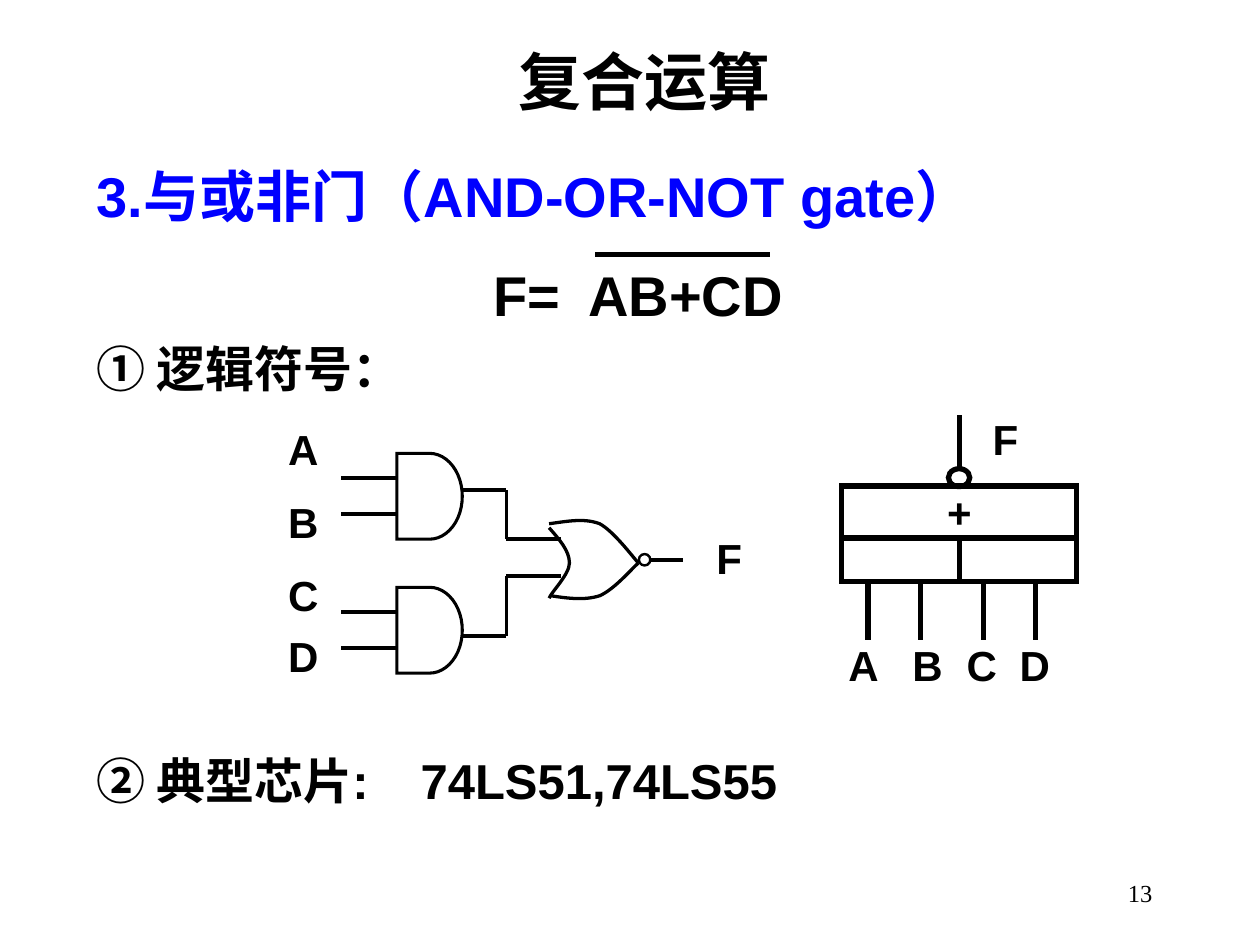
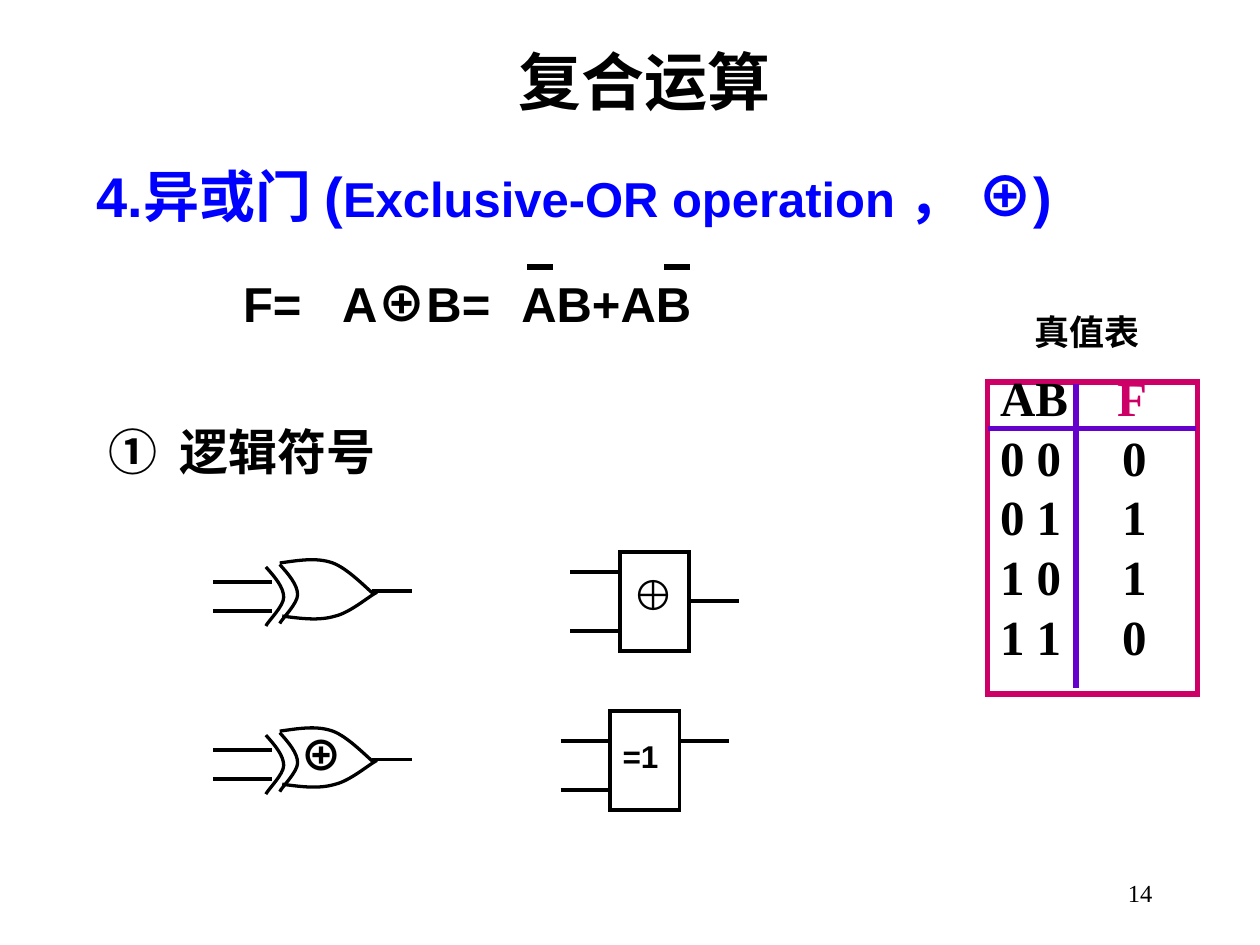
from typing import NamedTuple, Optional

from lxml.etree import SubElement
from pptx import Presentation
from pptx.dml.color import RGBColor
from pptx.enum.shapes import MSO_CONNECTOR, MSO_SHAPE
from pptx.enum.text import MSO_ANCHOR, PP_ALIGN
from pptx.oxml.ns import qn
from pptx.util import Cm, Pt

BLACK = RGBColor(0x00, 0x00, 0x00)
WHITE = RGBColor(0xFF, 0xFF, 0xFF)
BLUE = RGBColor(0x00, 0x00, 0xFF)
MAGENTA = RGBColor(0xCC, 0x00, 0x66)
PURPLE = RGBColor(0x66, 0x00, 0xCC)
SANS = "Arial"
SERIF = "Times New Roman"
CHINESE = "Noto Sans CJK SC"
THIN, WIRE, THICK = 1.88, 2.25, 3


class Area(NamedTuple):
    left: float
    top: float
    width: float
    height: float


class Point(NamedTuple):
    x: float
    y: float


class AndGate(NamedTuple):
    top: float
    output: float
    joint: float


class BlockGate(NamedTuple):
    left: float
    top: float
    inputs: tuple
    output: float


class Label(NamedTuple):
    text: str
    left: float
    top: float


OR_BODY = (
    ((0, -0.79), (0.36, -0.84), (0.71, -0.91), (1.02, -0.79),
     (1.3, -0.64), (1.68, -0.13), (1.8, 0)),
    ((0.03, 0.66), (0.36, 0.71), (0.71, 0.76), (1.02, 0.66),
     (1.32, 0.53), (1.68, 0.1), (1.8, 0)),
    ((0, -0.71), (0.2, -0.48), (0.41, -0.25), (0.41, 0),
     (0.41, 0.23), (0.05, 0.58), (0, 0.71)),
)
XOR_BACK = ((0, -0.61), (0.18, -0.41), (0.36, -0.2), (0.36, 0),
            (0.36, 0.18), (0.05, 0.48), (0, 0.58))
XOR_BODY = (
    ((0, -0.64), (0.36, -0.69), (0.74, -0.76), (1.07, -0.64),
     (1.37, -0.53), (1.75, -0.13), (1.91, 0)),
    ((0.05, 0.43), (0.43, 0.48), (0.79, 0.53), (1.12, 0.43),
     (1.42, 0.36), (1.8, 0.03), (1.96, -0.05)),
    XOR_BACK,
    tuple((x - 0.28, y + 0.05) for x, y in XOR_BACK),
)


def add_span(para, text: str, *, size: float = 28, font: str = SANS,
             color: RGBColor = BLACK, bold: bool = True) -> None:
    span = para.add_run()
    span.text = text
    span.font.size = Pt(size)
    span.font.bold = bold
    span.font.color.rgb = color
    span.font.name = font
    SubElement(span.font._element, qn("a:ea"), typeface=CHINESE)


def add_tabs(para, *positions: float, align: str = "l") -> None:
    stops = SubElement(para._p.get_or_add_pPr(), qn("a:tabLst"))
    for position in positions:
        SubElement(stops, qn("a:tab"), pos=str(Cm(position)), algn=align)


def add_text(page, text: str, area: Area, *, align=PP_ALIGN.LEFT,
             anchor=MSO_ANCHOR.TOP, wrap: bool = True, **style):
    box = page.shapes.add_textbox(*map(Cm, area))
    box.text_frame.word_wrap = wrap
    box.text_frame.vertical_anchor = anchor
    para = box.text_frame.paragraphs[0]
    para.alignment = align
    add_span(para, text, **style)
    return para


def add_line(page, start: Point, end: Point, *, width: float = WIRE,
             color: RGBColor = BLACK) -> None:
    line = page.shapes.add_connector(
        MSO_CONNECTOR.STRAIGHT, *map(Cm, (*start, *end)))
    line.line.width = Pt(width)
    line.line.color.rgb = color
    if width == THICK and color == BLACK:
        line.line._get_or_add_ln().set("cap", "sq")
    SubElement(line._element.spPr, qn("a:effectLst"))


def add_row(page, left: float, right: float, y: float, **style) -> None:
    add_line(page, Point(left, y), Point(right, y), **style)


def add_column(page, x: float, top: float, bottom: float, **style) -> None:
    add_line(page, Point(x, top), Point(x, bottom), **style)


def add_outline(page, kind, area: Area, *, width: float = WIRE,
                color: RGBColor = BLACK, fill: Optional[RGBColor] = None):
    shape = page.shapes.add_shape(kind, *map(Cm, area))
    shape.shadow.inherit = False
    if fill is None:
        shape.fill.background()
    else:
        shape.fill.solid()
        shape.fill.fore_color.rgb = fill
    shape.line.width = Pt(width)
    shape.line.color.rgb = color
    SubElement(shape.line._get_or_add_ln(), qn("a:miter"), lim="800000")
    return shape


def bend_segments(shape) -> None:
    outline = shape._element.find(".//" + qn("a:path"))
    segments = outline.findall(qn("a:lnTo"))
    for first in range(0, len(segments), 3):
        curve = SubElement(outline, qn("a:cubicBezTo"))
        for segment in segments[first:first + 3]:
            curve.append(segment[0])
            outline.remove(segment)


def add_curves(page, curves: tuple, origin: Point) -> None:
    for controls in curves:
        start, *others = [(Cm(origin.x + x), Cm(origin.y + y))
                          for x, y in controls]
        builder = page.shapes.build_freeform(*start)
        builder.add_line_segments(others, close=False)
        shape = builder.convert_to_shape()
        bend_segments(shape)
        shape.shadow.inherit = False
        shape.fill.background()
        shape.line.width = Pt(THIN)
        shape.line.color.rgb = BLACK


def add_page(deck, number: int):
    page = deck.slides.add_slide(deck.slide_layouts[6])
    add_text(page, "复合运算", Area(2.69, 0.73, 20.6, 1.8),
             size=36, align=PP_ALIGN.CENTER)
    add_text(page, str(number), Area(18.2, 17.37, 5.28, 1.27), size=14,
             font=SERIF, bold=False, align=PP_ALIGN.RIGHT,
             anchor=MSO_ANCHOR.MIDDLE)
    return page


def add_heading(page, text: str):
    return add_text(page, text, Area(1.7, 3.14, 22.6, 1.63),
                    size=32, color=BLUE)


def add_and_gate(page, gate: AndGate) -> None:
    left, right, bend, end = 8.0, 9.32, 10.21, 11.3
    add_outline(page, MSO_SHAPE.FLOWCHART_DELAY,
                Area(left, gate.top, right - left, 1.73), width=1.75)
    for offset in (0.5, 1.23):
        add_row(page, 6.88, left, gate.top + offset)
    add_row(page, right, bend, gate.output)
    add_column(page, bend, gate.output, gate.joint)
    add_row(page, bend, end, gate.joint)


def add_gate_circuit(page) -> None:
    for gate in (AndGate(9.14, 9.88, 10.87), AndGate(11.84, 12.83, 11.61)):
        add_and_gate(page, gate)
    add_curves(page, OR_BODY, Point(11.07, 11.35))
    add_outline(page, MSO_SHAPE.OVAL, Area(12.88, 11.17, 0.23, 0.23),
                width=1.38)
    add_row(page, 13.11, 13.77, 11.28)
    labels = (Label("A", 5.56, 8.41), Label("B", 5.56, 9.88),
              Label("C", 5.56, 11.35), Label("D", 5.56, 12.59),
              Label("F", 14.19, 10.62))
    for label in labels:
        add_text(page, label.text, Area(label.left, label.top, 1.8, 1.27),
                 size=24)


def add_block_symbol(page) -> None:
    left, middle, half = 16.97, 19.34, 2.37
    block = add_outline(page, MSO_SHAPE.RECTANGLE,
                        Area(left, 9.8, 2 * half, 1.04), width=THICK)
    block.text_frame.vertical_anchor = MSO_ANCHOR.MIDDLE
    block.text_frame.word_wrap = False
    para = block.text_frame.paragraphs[0]
    para.alignment = PP_ALIGN.CENTER
    add_span(para, "+", size=24)
    for column in range(2):
        add_outline(page, MSO_SHAPE.RECTANGLE,
                    Area(left + column * half, 10.85, half, 0.87),
                    width=THICK)
    add_outline(page, MSO_SHAPE.OVAL, Area(19.12, 9.45, 0.43, 0.36),
                width=THICK)
    add_column(page, middle, 8.41, 9.45, width=THICK)
    add_text(page, "F", Area(19.76, 8.22, 2.59, 1.27), size=24)
    for leg in (17.5, 18.55, 19.82, 20.88):
        add_column(page, leg, 11.81, 12.85, width=THICK)
    para = add_text(page, "\tA\tB\tC\tD", Area(16.43, 12.77, 5.72, 1.27),
                    size=24)
    add_tabs(para, 0.73, 2.02, 3.11, 4.18, align="ctr")


def add_and_or_not_page(deck) -> None:
    page = add_page(deck, 13)
    add_heading(page, "3.与或非门（AND-OR-NOT gate）")
    add_text(page, "F=", Area(9.7, 5.13, 2.57, 1.6), size=32)
    add_text(page, "AB+CD", Area(11.61, 5.13, 4.47, 1.6), size=32)
    add_row(page, 12.04, 15.47, 5.13, width=THICK)
    para = add_text(page, "① ", Area(1.7, 6.7, 7.04, 1.45),
                    font=CHINESE, wrap=False)
    add_span(para, "逻辑符号：")
    add_gate_circuit(page)
    add_block_symbol(page)
    para = add_text(page, "② 典型芯片:\t74LS51,74LS55",
                    Area(1.7, 15.01, 16.61, 1.45))
    add_tabs(para, 6.53)


def add_truth_table(page) -> None:
    add_text(page, "真值表", Area(19.71, 6.14, 4.42, 1.09),
             size=20, align=PP_ALIGN.CENTER)
    frame = add_outline(page, MSO_SHAPE.RECTANGLE,
                        Area(19.91, 7.7, 4.23, 6.29), width=THICK,
                        color=MAGENTA, fill=WHITE).text_frame
    frame.vertical_anchor = MSO_ANCHOR.TOP
    rows = (("AB", "F"), ("0 0", "0"), ("0 1", "1"), ("1 0", "1"), ("1 1", "0"))
    for index, (inputs, output) in enumerate(rows):
        para = frame.add_paragraph() if index else frame.paragraphs[0]
        para.alignment = PP_ALIGN.LEFT
        para.line_spacing = 0.6
        para.space_before = Pt(14)
        add_tabs(para, 2.71 if index else 2.66, align="ctr")
        add_span(para, inputs + "\t", font=SERIF)
        add_span(para, output, font=SERIF, color=BLACK if index else MAGENTA)
    add_column(page, 21.69, 7.75, 13.87, width=THICK, color=PURPLE)
    add_row(page, 19.91, 24.1, 8.64, width=THICK, color=PURPLE)


def add_xor_gate(page, middle: float) -> None:
    for offset in (-0.26, 0.33):
        add_row(page, 4.29, 5.49, middle + offset)
    add_row(page, 7.49, 8.31, middle - 0.07)
    add_curves(page, XOR_BODY, Point(5.64, middle))


def add_block_gate(page, gate: BlockGate) -> None:
    width, lead = 1.4, 1.0
    right = gate.left + width
    add_outline(page, MSO_SHAPE.RECTANGLE,
                Area(gate.left, gate.top, width, 2.0))
    for offset in gate.inputs:
        add_row(page, gate.left - lead, gate.left, gate.top + offset)
    add_row(page, right, right + lead, gate.top + gate.output)


def add_exclusive_or_page(deck) -> None:
    page = add_page(deck, 14)
    para = add_heading(page, "4.异或门 (")
    add_span(para, "Exclusive-OR operation ", color=BLUE)
    add_span(para, "， ⊕)", size=32, color=BLUE)
    add_text(page, "F=", Area(4.65, 5.38, 2.57, 1.45))
    para = add_text(page, "A", Area(6.65, 5.38, 3.81, 1.45))
    add_span(para, "⊕", font=CHINESE)
    add_span(para, "B=")
    add_text(page, "AB+AB", Area(10.26, 5.38, 4.45, 1.45))
    for left in (10.67, 13.43):
        add_row(page, left, left + 0.42, 5.38, width=THICK)
    para = add_text(page, "①\t", Area(1.93, 8.38, 9.42, 1.45), font=SERIF)
    add_tabs(para, 1.44)
    add_span(para, "逻辑符号")
    add_truth_table(page)
    for middle in (11.99, 15.38):
        add_xor_gate(page, middle)
    add_text(page, "⊕", Area(5.81, 14.58, 1.6, 1.27), size=24, font=CHINESE)
    add_block_gate(page, BlockGate(12.5, 11.13, (0.4, 1.59), 0.99))
    add_text(page, "⊕", Area(12.5, 11.33, 1.19, 1.27), size=24)
    add_block_gate(page, BlockGate(12.3, 14.33, (0.6, 1.6), 0.6))
    add_text(page, "=1", Area(12.3, 14.73, 1.6, 1.02), size=18)


def main() -> None:
    deck = Presentation()
    deck.slide_width, deck.slide_height = Cm(25.4), Cm(19.05)
    add_and_or_not_page(deck)
    add_exclusive_or_page(deck)
    deck.save("out.pptx")


if __name__ == "__main__":
    main()
